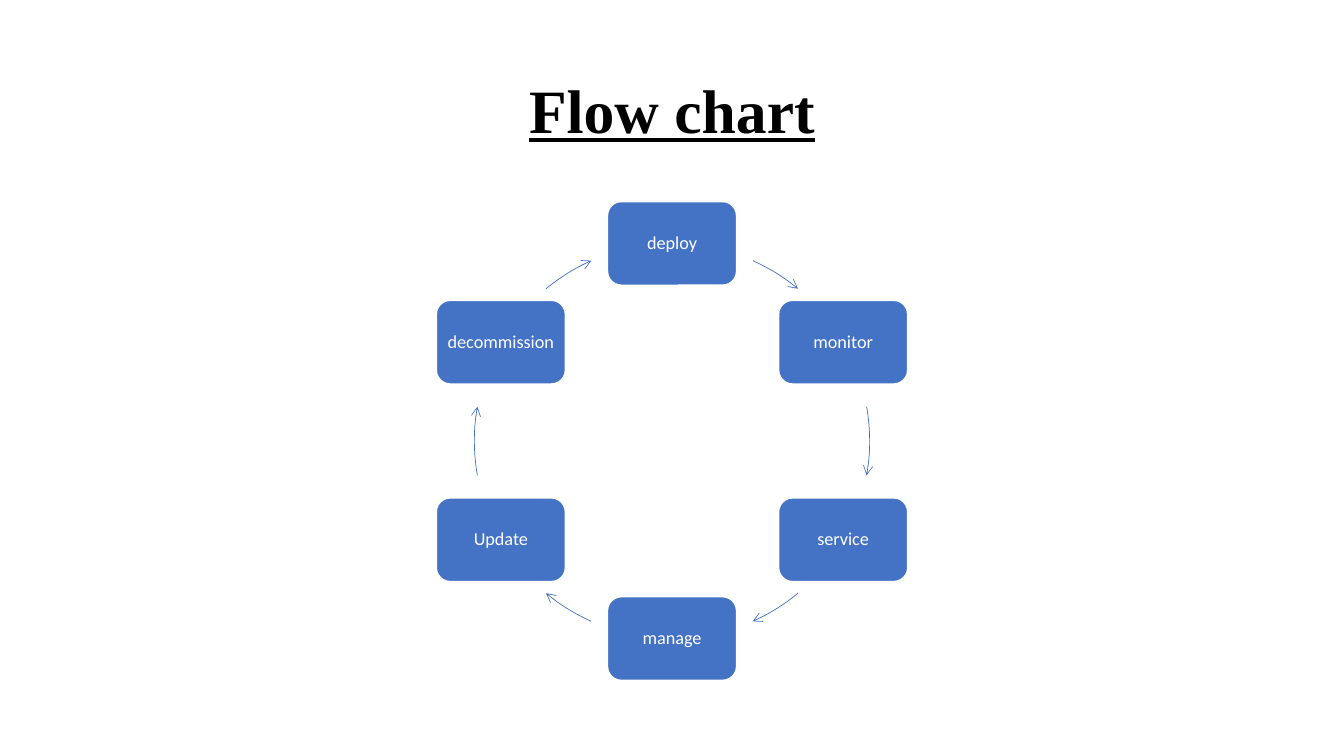
import math
from dataclasses import dataclass

import pptx
import pptx.dml.color
import pptx.enum.shapes
import pptx.enum.text
import pptx.oxml
import pptx.oxml.ns
import pptx.util
from pptx.util import Inches, Pt

SHAPES = pptx.enum.shapes.MSO_SHAPE
ALIGN = pptx.enum.text.PP_ALIGN
ANCHOR = pptx.enum.text.MSO_ANCHOR


@dataclass(frozen=True)
class Theme:
    accent = pptx.dml.color.RGBColor(0x44, 0x72, 0xC4)
    light = pptx.dml.color.RGBColor(0xFF, 0xFF, 0xFF)
    dark = pptx.dml.color.RGBColor(0, 0, 0)
    title_font = "Times New Roman"
    step_font = "Calibri"
    title_size = Pt(44)
    step_size = Pt(13)
    step_outline = Pt(1)
    arrow_line = Pt(0.5)
    line_spacing = 0.9


THEME = Theme()
SLIDE_WIDTH, SLIDE_HEIGHT = 13.33, 7.5
STEPS = ["deploy", "monitor", "service", "manage", "Update", "decommission"]
# Start and end of each arrow, in degrees clockwise from the top of the ring.
HALF_TURN_ARROWS = [(24.1, 39.6), (80, 100), (140.4, 155.9)]
ARROWS = [(start + turn, end + turn)
          for turn in (0, 180) for start, end in HALF_TURN_ARROWS]


def write_text(frame, words, font_name, size, color):
    frame.word_wrap = True
    frame.vertical_anchor = ANCHOR.MIDDLE
    paragraph = frame.paragraphs[0]
    paragraph.text = words
    paragraph.alignment = ALIGN.CENTER
    paragraph.line_spacing = THEME.line_spacing
    paragraph.font.name = font_name
    paragraph.font.size = size
    paragraph.font.color.rgb = color
    return paragraph


def add_title(slide, left, top, width, height):
    title = slide.shapes.add_textbox(*map(Inches, (left, top, width, height)))
    paragraph = write_text(title.text_frame, "Flow chart", THEME.title_font,
                           THEME.title_size, THEME.dark)
    paragraph.font.bold = True
    paragraph.font.underline = True


def add_step(slide, label, center_x, center_y, width, height):
    step = slide.shapes.add_shape(
        SHAPES.ROUNDED_RECTANGLE,
        Inches(center_x - width / 2), Inches(center_y - height / 2),
        Inches(width), Inches(height))
    step.shadow.inherit = False
    step.fill.solid()
    step.fill.fore_color.rgb = THEME.accent
    step.line.color.rgb = THEME.light
    step.line.width = THEME.step_outline
    frame = step.text_frame
    frame.margin_left = frame.margin_right = Inches(0.05)
    frame.margin_top = frame.margin_bottom = Inches(0.05)
    write_text(frame, label, THEME.step_font, THEME.step_size, THEME.light)


def add_ring_arrow(slide, center_x, center_y, radius, start, end):
    arrow = slide.shapes.add_shape(
        SHAPES.ARC, Inches(center_x - radius), Inches(center_y - radius),
        Inches(2 * radius), Inches(2 * radius))
    # Arc angles run clockwise from the right, 60000 units to a degree.
    for index, angle in enumerate((start, end)):
        arrow.adjustments[index] = (angle - 90) % 360 * 0.6
    arrow.shadow.inherit = False
    arrow.fill.background()
    arrow.line.color.rgb = THEME.accent
    arrow.line.width = THEME.arrow_line
    outline = arrow.line._get_or_add_ln()
    outline.append(pptx.oxml.parse_xml(
        f'<a:tailEnd {pptx.oxml.ns.nsdecls("a")} type="arrow"/>'))


def add_cycle(slide, left, top, width, height):
    """Place the steps clockwise on a ring that fills the height of the box."""
    step_width, step_height = 1.28, 0.83
    center_x, center_y = left + width / 2, top + height / 2
    radius = (height - step_height) / 2
    for index, (label, (start, end)) in enumerate(zip(STEPS, ARROWS)):
        angle = math.tau * index / len(STEPS)
        add_step(slide, label, center_x + radius * math.sin(angle),
                 center_y - radius * math.cos(angle), step_width, step_height)
        add_ring_arrow(slide, center_x, center_y, radius, start, end)


def main():
    deck = pptx.Presentation()
    deck.slide_width = Inches(SLIDE_WIDTH)
    deck.slide_height = Inches(SLIDE_HEIGHT)
    slide = deck.slides.add_slide(deck.slide_layouts[6])
    margin = 0.92
    content_width = SLIDE_WIDTH - 2 * margin
    add_title(slide, margin, 0.4, content_width, 1.45)
    add_cycle(slide, margin, 2, content_width, 4.75)
    deck.save("out.pptx")


if __name__ == "__main__":
    main()
